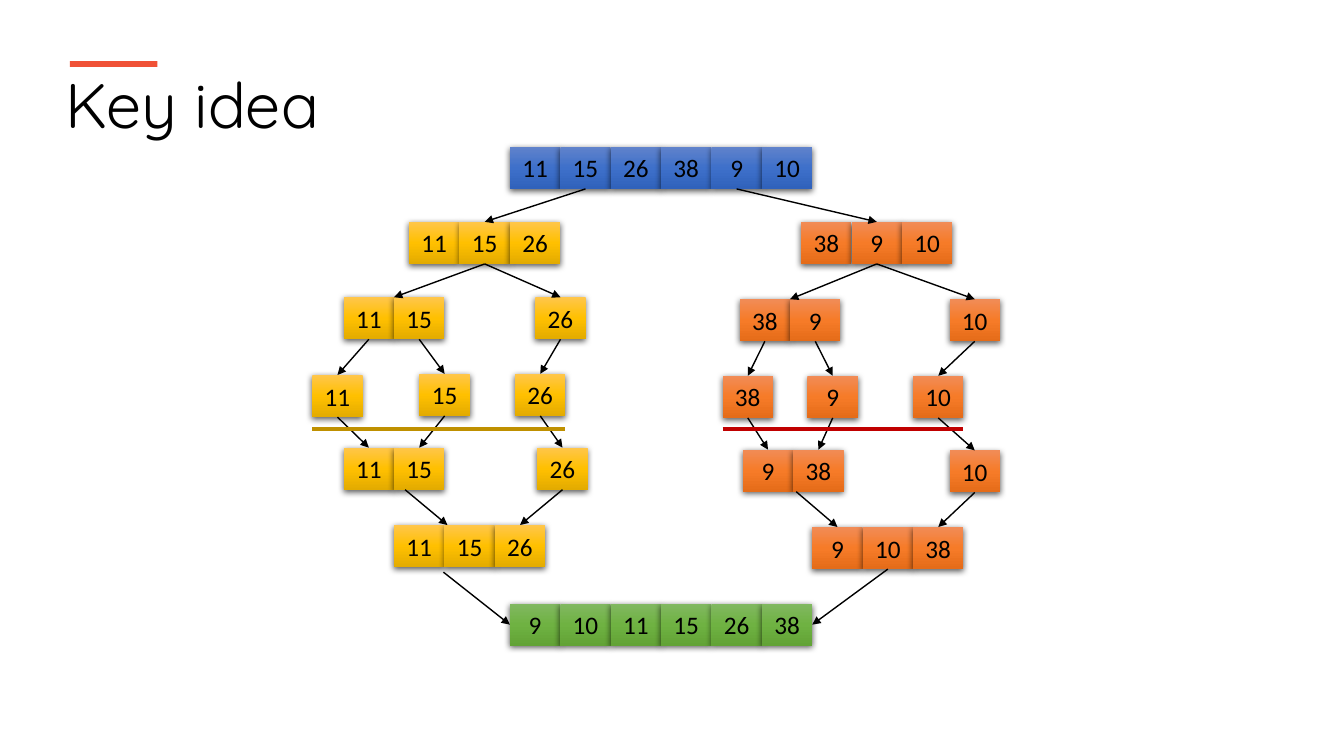
import pptx
import pptx.util
import pptx.dml.color
import pptx.enum.shapes
import pptx.enum.text
import pptx.oxml
import copy

Cm, Pt = pptx.util.Cm, pptx.util.Pt
Text = pptx.enum.text
RECT = pptx.enum.shapes.MSO_SHAPE.RECTANGLE
LINE = pptx.enum.shapes.MSO_CONNECTOR.STRAIGHT
NS = 'xmlns:a="http://schemas.openxmlformats.org/drawingml/2006/main"'

TITLE = "Key idea"
WIDE, HIGH = 1.27, 1.06  # one cell, in cm
SHADES = {
    "blue": ("6183CB", "3E70CA", "3062BB"),
    "gold": ("FFC64B", "FFC000", "E3AB00"),
    "rust": ("F18C57", "F67B28", "E56C19"),
    "green": ("81B861", "6FB242", "62A336"),
}

# name: (left, top, shade, values); l = left half, r = right half
RUNS = {
    "start": (12.85, 3.70, "blue", (11, 15, 26, 38, 9, 10)),
    "l half": (10.31, 5.59, "gold", (11, 15, 26)),
    "l pair": (8.66, 7.49, "gold", (11, 15)),
    "l rest": (13.49, 7.49, "gold", (26,)),
    "l one": (7.87, 9.45, "gold", (11,)),
    "l two": (10.57, 9.42, "gold", (15,)),
    "l three": (12.98, 9.42, "gold", (26,)),
    "l merge": (8.66, 11.28, "gold", (11, 15)),
    "l keep": (13.54, 11.28, "gold", (26,)),
    "l done": (9.93, 13.23, "gold", (11, 15, 26)),
    "r half": (20.19, 5.59, "rust", (38, 9, 10)),
    "r pair": (18.64, 7.54, "rust", (38, 9)),
    "r rest": (23.93, 7.54, "rust", (10,)),
    "r one": (18.21, 9.47, "rust", (38,)),
    "r two": (20.35, 9.47, "rust", (9,)),
    "r three": (23.01, 9.47, "rust", (10,)),
    "r merge": (18.72, 11.33, "rust", (9, 38)),
    "r keep": (23.93, 11.35, "rust", (10,)),
    "r done": (20.47, 13.28, "rust", (9, 10, 38)),
    "end": (12.85, 15.21, "green", (9, 10, 11, 15, 26, 38)),
}

# from run, cells across, to run, cells across: the same on both sides
SIDES = [
    ("half", 1.5, "pair", 1), ("half", 1.5, "rest", 0.5),
    ("pair", 0.5, "one", 0.5), ("pair", 1.5, "two", 0.5),
    ("rest", 0.5, "three", 0.5), ("one", 0.5, "merge", 0.5),
    ("two", 0.5, "merge", 1.5), ("three", 0.5, "keep", 0.5),
    ("keep", 0.5, "done", 2.5),
]
# from (run, cells across, cells down), to (the same)
LINKS = [
    (("start", 1.5, 1), ("l half", 1.5, 0)),
    (("start", 4.5, 1), ("r half", 1.5, 0)),
    (("l merge", 1.22, 1), ("l done", 1.06, 0)),
    (("r merge", 1.06, 1), ("r done", 0.5, 0)),
    (("l done", 0.98, 1.12), ("end", 0, 0.5)),
    (("r done", 1.5, 1), ("end", 6, 0.5)),
]
LINKS += [((f"{side} {a}", x, 1), (f"{side} {b}", u, 0))
          for side in "lr" for a, x, b, u in SIDES]

RULES = [("l one", "l three", "BF9000"), ("r one", "r three", "C00000")]
RULE_TOP = 10.82


def hue(code):
    """Turn a hex string into a colour."""
    return pptx.dml.color.RGBColor.from_string(code)


def apply(item, form):
    """Set each attribute in form on item."""
    for key, value in form.items():
        setattr(item, key, value)


def write(shape, text, size, face, align, anchor):
    """Put formatted black text in a shape."""
    frame = shape.text_frame
    frame.text = text
    apply(frame, {"word_wrap": True, "vertical_anchor": anchor,
                  "auto_size": Text.MSO_AUTO_SIZE.NONE})
    para = frame.paragraphs[0]
    para.alignment = align
    apply(para.runs[0].font, {"size": Pt(size), "name": face})
    para.runs[0].font.color.rgb = hue("000000")


def box(shapes, left, top, wide, high):
    """Add a rectangle with no outline or shadow."""
    shape = shapes.add_shape(RECT, Cm(left), Cm(top), Cm(wide), Cm(high))
    shape.line.fill.background()
    shape.shadow.inherit = False
    return shape


def shade(shape, codes):
    """Give a cell its three-stop gradient and soft shadow."""
    fill = shape.fill
    fill.gradient()
    fill.gradient_angle = 270
    stops = shape._element.spPr.find(".//{*}gsLst")
    stops.append(copy.deepcopy(stops[-1]))
    for stop, place, code in zip(fill.gradient_stops, (0, 0.5, 1), codes):
        stop.position = place
        stop.color.rgb = hue(code)
    shape._element.spPr.find("{*}effectLst").append(pptx.oxml.parse_xml(
        f'<a:outerShdw {NS} blurRad="57150" dist="19050" dir="5400000" '
        'algn="ctr" rotWithShape="0"><a:srgbClr val="000000">'
        '<a:alpha val="63000"/></a:srgbClr></a:outerShdw>'))


def row(shapes, left, top, name, values):
    """Draw a run of cells, grouped when there are several."""
    if len(values) > 1:
        shapes = shapes.add_group_shape().shapes
    for i, value in enumerate(values):
        cell = box(shapes, left + i * WIDE, top, WIDE, HIGH)
        shade(cell, SHADES[name])
        write(cell, str(value), 18, "Calibri",
              Text.PP_ALIGN.CENTER, Text.MSO_ANCHOR.MIDDLE)


def spot(name, across, down):
    """Find a point on a run, counted in cells."""
    left, top = RUNS[name][:2]
    return Cm(left + across * WIDE), Cm(top + down * HIGH)


def line(shapes, start, end, code, width, arrow=False):
    """Draw a straight line, with an arrowhead if asked."""
    link = shapes.add_connector(LINE, *start, *end)
    link.line.color.rgb = hue(code)
    link.line.width = Pt(width)
    if arrow:
        link.line._get_or_add_ln().append(
            pptx.oxml.parse_xml(f'<a:tailEnd {NS} type="triangle"/>'))
    link._element.spPr.append(pptx.oxml.parse_xml(f"<a:effectLst {NS}/>"))


deck = pptx.Presentation()
apply(deck, {"slide_width": Cm(33.87), "slide_height": Cm(19.05)})
slide = deck.slides.add_slide(deck.slide_layouts[5])
shapes = slide.shapes

apply(shapes.title, {"left": Cm(1.4), "top": Cm(1.53),
                     "width": Cm(30.7), "height": Cm(2.18)})
write(shapes.title, TITLE, 45, "Quicksand",
      Text.PP_ALIGN.LEFT, Text.MSO_ANCHOR.TOP)
bar = box(shapes, 1.76, 1.54, 2.21, 0.15)
bar.fill.solid()
bar.fill.fore_color.rgb = hue("F05136")

for run in RUNS.values():
    row(shapes, *run)
for start, end in LINKS:
    line(shapes, spot(*start), spot(*end), "000000", 1, arrow=True)
for first, last, code in RULES:
    line(shapes, (spot(first, 0, 0)[0], Cm(RULE_TOP)),
         (spot(last, 1, 0)[0], Cm(RULE_TOP)), code, 3)

deck.save("out.pptx")
